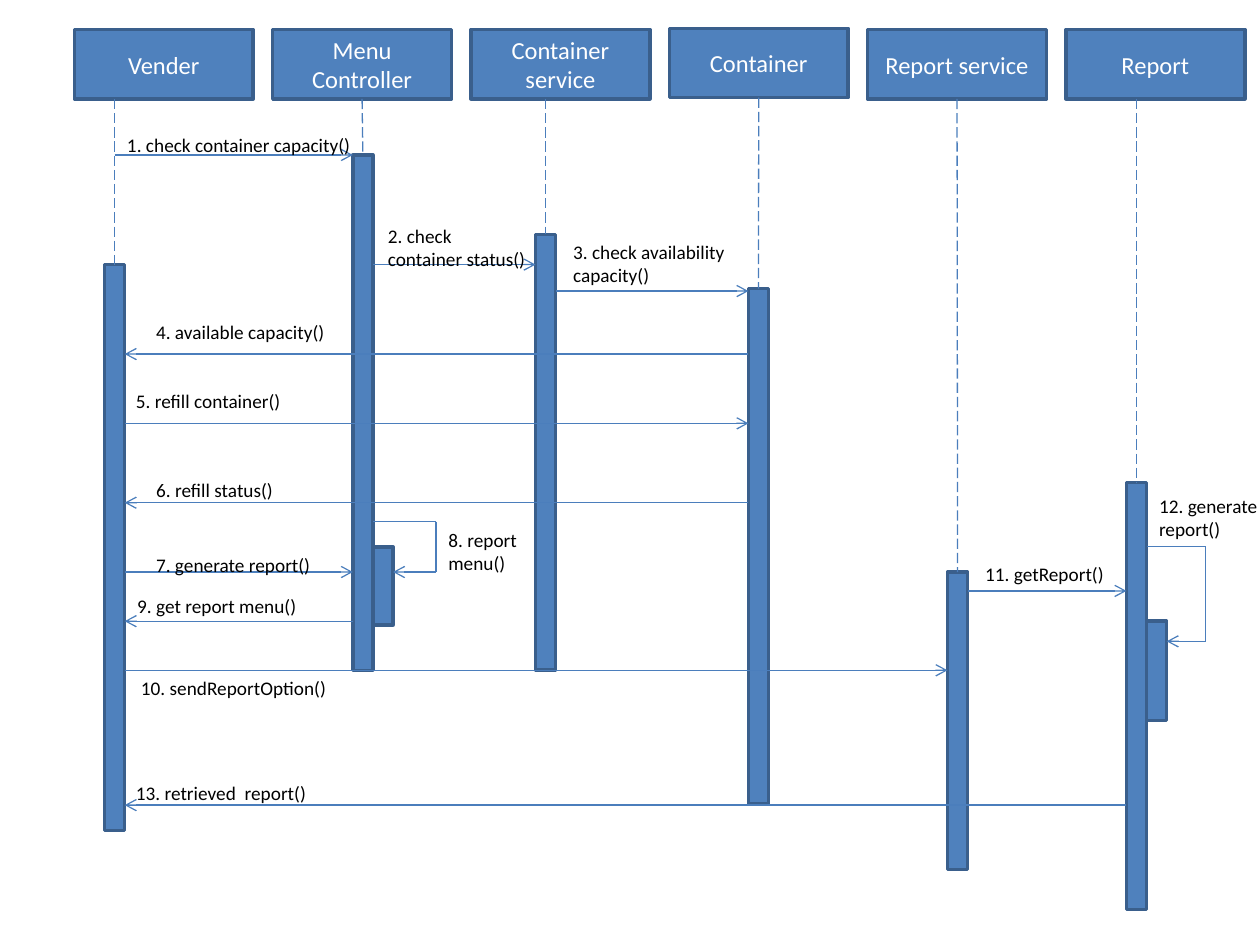
from pptx import Presentation
from pptx.dml.color import RGBColor
from pptx.enum.dml import MSO_LINE_DASH_STYLE as Dash
from pptx.enum.shapes import MSO_CONNECTOR as Connector, MSO_SHAPE as Shape
from pptx.enum.text import MSO_ANCHOR as Anchor, PP_ALIGN as Align
from pptx.oxml.ns import qn
from pptx.util import Inches, Pt
from lxml.etree import SubElement
from collections import namedtuple

COLORS = {"fill": "4F81BD", "border": "3A5F8C", "line": "4B7EBC", "light": "FFFFFF", "dark": "000000"}
COLUMNS, ROWS = 100, 75
HEADER_LEFT, HEADER_STEP, HEADER_WIDTH, HEADER_HEIGHT = 5.9, 15.74, 14.2, 5.5
BAR_WIDTH = 1.6

Participant = namedtuple("Participant", "header_top left top height")
PARTICIPANTS = {
    "Vender": Participant(2.35, 8.3, 21, 44.9),
    "Menu Controller": Participant(2.35, 28, 12.3, 40.9),
    "Container service": Participant(2.35, 42.5, 18.6, 34.6),
    "Container": Participant(2.25, 59.4, 22.9, 40.9),
    "Report service": Participant(2.35, 75.2, 45.4, 23.6),
    "Report": Participant(2.35, 89.4, 38.3, 33.9),
}
MESSAGES = [
    ("Vender", "Menu Controller", 12.3),
    ("Menu Controller", "Container service", 21),
    ("Container service", "Container", 23.1),
    ("Container", "Vender", 28.1),
    ("Vender", "Container", 33.6),
    ("Container", "Vender", 39.9),
    ("Vender", "Menu Controller", 45.4),
    ("Menu Controller", "Vender", 49.3),
    ("Vender", "Report service", 53.2),
    ("Report service", "Report", 46.9),
    ("Report", "Vender", 63.9),
]
SELF_CALLS = [
    dict(name="Menu Controller", top=43.4, height=6.2, call=41.4, back=45.4, turn=34.6),
    dict(name="Report", top=49.3, height=7.9, call=43.4, back=50.9, turn=95.7),
]
LABELS = [
    ("1. check container capacity()", 9.1, 10.1, 19.7, 4.7),
    ("2. check container status()", 29.8, 17.3, 13, 4.7),
    ("3. check availability capacity()", 44.5, 18.6, 15, 4.7),
    ("4. available capacity()", 11.4, 24.9, 15.7, 2.9),
    ("5. refill container()", 9.8, 30.4, 17.3, 2.9),
    ("6. refill status()", 11.4, 37.5, 14.2, 2.9),
    ("7. generate report()", 11.4, 43.4, 15.7, 2.9),
    ("8. report menu()", 34.6, 41.4, 11.8, 4.7),
    ("9. get report menu()", 9.9, 46.7, 17.3, 2.9),
    ("10. sendReportOption()", 10.2, 53.2, 18.1, 2.9),
    ("11. getReport()", 77.2, 44.1, 11.8, 2.9),
    ("12. generate report()", 91, 38.7, 11.8, 4.7),
    ("13. retrieved  report()", 9.8, 61.5, 17.7, 2.9),
]


class SequenceDiagram:
    """Draws sequence diagram parts on one slide, measured in grid columns and rows."""

    font = "Calibri"

    def __init__(self, presentation):
        self.slide = presentation.slides.add_slide(presentation.slide_layouts[6])
        self.column = presentation.slide_width / COLUMNS
        self.row = presentation.slide_height / ROWS

    def place(self, *lengths):
        return [round(length * (self.row if index % 2 else self.column))
                for index, length in enumerate(lengths)]

    def set_text(self, shape, text, size, color):
        frame = shape.text_frame
        frame.text = text
        frame.word_wrap = True
        font = frame.paragraphs[0].runs[0].font
        font.name, font.size = self.font, Pt(size)
        font.color.rgb = RGBColor.from_string(COLORS[color])

    def box(self, left, top, width, height):
        shape = self.slide.shapes.add_shape(Shape.RECTANGLE, *self.place(left, top, width, height))
        shape.shadow.inherit = False
        shape.fill.solid()
        shape.fill.fore_color.rgb = RGBColor.from_string(COLORS["fill"])
        shape.line.color.rgb = RGBColor.from_string(COLORS["border"])
        shape.line.width = Pt(2)
        return shape

    def header(self, text, left, top):
        shape = self.box(left, top, HEADER_WIDTH, HEADER_HEIGHT)
        self.set_text(shape, text, 14, "light")
        shape.text_frame.vertical_anchor = Anchor.MIDDLE
        shape.text_frame.paragraphs[0].alignment = Align.CENTER
        return shape

    def line(self, *ends, arrow=False):
        connector = self.slide.shapes.add_connector(Connector.STRAIGHT, *self.place(*ends))
        connector.line.color.rgb = RGBColor.from_string(COLORS["line"])
        connector.line.width = Pt(0.75)
        properties = connector._element.spPr
        if arrow:
            SubElement(properties.find(qn("a:ln")), qn("a:tailEnd"), type="arrow")
        SubElement(properties, qn("a:effectLst"))
        return connector

    def lifeline(self, header, bar, column, top, bottom):
        connector = self.line(column, top, column, bottom)
        connector.line.dash_style = Dash.LONG_DASH
        if abs(header.left + header.width / 2 - column * self.column) < self.column / 4:
            connector.begin_connect(header, 2)
        connector.end_connect(bar, 0)

    def message(self, source, target, row):
        start, end = PARTICIPANTS[source].left, PARTICIPANTS[target].left
        if start > end:
            end += BAR_WIDTH
        elif row < PARTICIPANTS[source].top:
            start += BAR_WIDTH / 2
        else:
            start += BAR_WIDTH
        self.line(start, row, end, row, arrow=True)

    def self_call(self, name, top, height, call, back, turn):
        edge = PARTICIPANTS[name].left + BAR_WIDTH
        self.box(edge, top, BAR_WIDTH, height)
        self.line(edge, call, turn, call)
        self.line(turn, call, turn, back)
        self.line(turn, back, edge + BAR_WIDTH, back, arrow=True)

    def label(self, text, *area):
        self.set_text(self.slide.shapes.add_textbox(*self.place(*area)), text, 11, "dark")


def main():
    presentation = Presentation()
    presentation.slide_width, presentation.slide_height = Inches(10), Inches(7.5)
    diagram = SequenceDiagram(presentation)
    for index, (name, (header_top, left, top, height)) in enumerate(PARTICIPANTS.items()):
        header = diagram.header(name, HEADER_LEFT + index * HEADER_STEP, header_top)
        bar = diagram.box(left, top, BAR_WIDTH, height)
        diagram.lifeline(header, bar, left + BAR_WIDTH / 2, header_top + HEADER_HEIGHT, top)
    for message in MESSAGES:
        diagram.message(*message)
    for call in SELF_CALLS:
        diagram.self_call(**call)
    for label in LABELS:
        diagram.label(*label)
    presentation.save("out.pptx")


if __name__ == "__main__":
    main()
